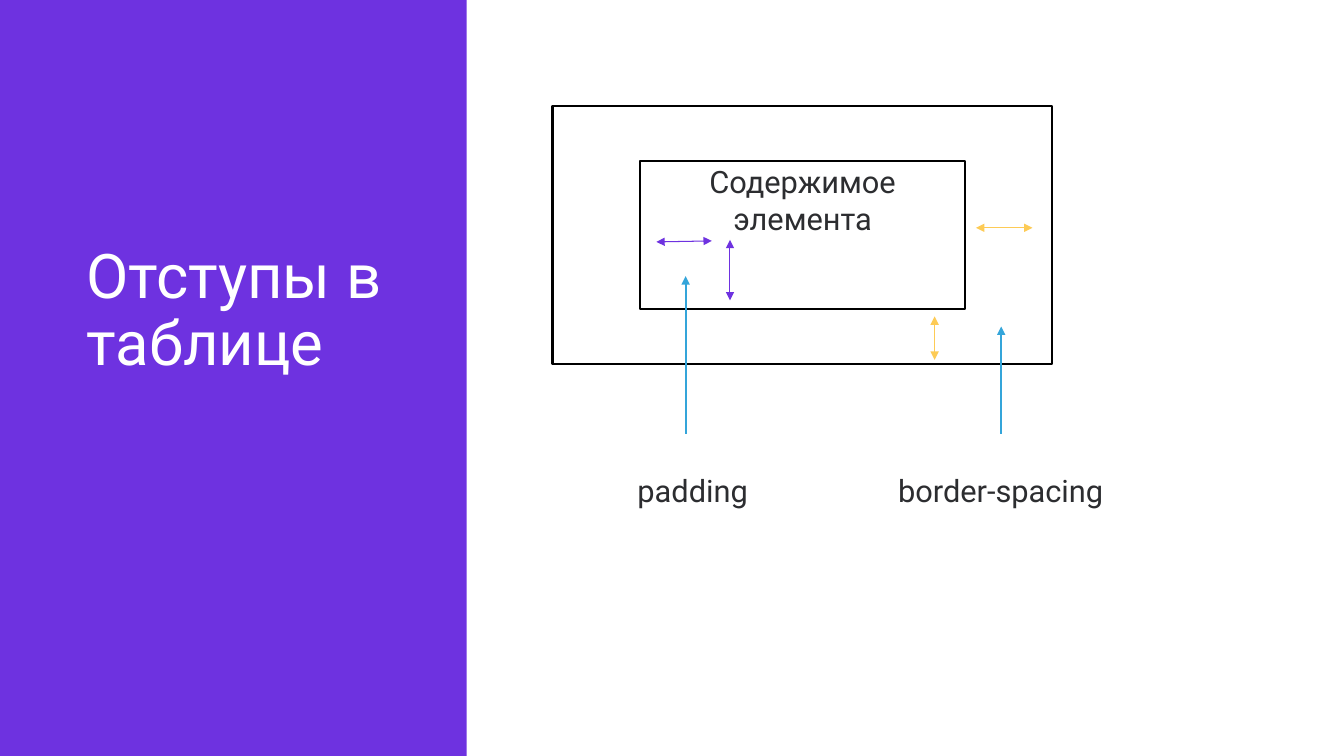
from dataclasses import dataclass

from lxml.etree import SubElement
from pptx import Presentation
from pptx.dml.color import RGBColor as Rgb
from pptx.enum.shapes import MSO_CONNECTOR as Link, MSO_SHAPE as Kind
from pptx.enum.text import MSO_ANCHOR as Anchor, PP_ALIGN as Align
from pptx.oxml.ns import qn
from pptx.util import Inches, Pt


@dataclass(frozen=True)
class Theme:
    font: str = "Roboto"
    violet: str = "6E32E0"
    blue: str = "34A5DA"
    gold: str = "FDCB56"
    black: str = "000000"
    dark: str = "2C2D30"
    white: str = "FFFFFF"
    title: float = 44
    label: float = 22
    thick: float = 1.5
    thin: float = 0.75


class Board:
    def __init__(self, slide, theme):
        self.slide = slide
        self.theme = theme

    def box(self, area, fill=None, line=None):
        shape = self.slide.shapes.add_shape(Kind.RECTANGLE, *map(Inches, area))
        shape.shadow.inherit = False
        if fill:
            shape.fill.solid()
            shape.fill.fore_color.rgb = Rgb.from_string(fill)
        else:
            shape.fill.background()
        if line:
            shape.line.color.rgb = Rgb.from_string(line)
            shape.line.width = Pt(self.theme.thick)
        else:
            shape.line.fill.background()

    def text(self, area, words, size, color, align=Align.CENTER, pad=0.1, lead=None):
        """Add wrapped text, centred upright; pad is the top and bottom inset."""
        frame = self.slide.shapes.add_textbox(*map(Inches, area)).text_frame
        frame.word_wrap = True
        frame.vertical_anchor = Anchor.MIDDLE
        frame.margin_left = frame.margin_right = Inches(0.1)
        frame.margin_top = frame.margin_bottom = Inches(pad)
        para = frame.paragraphs[0]
        para.alignment = align
        if lead:
            para.line_spacing = lead
        run = para.add_run()
        run.text = words
        run.font.name = self.theme.font
        run.font.size = Pt(size)
        run.font.color.rgb = Rgb.from_string(color)

    def arrow(self, start, end, color, width, both=False):
        """Draw a line with a head at its start, or at both ends."""
        line = self.slide.shapes.add_connector(
            Link.STRAIGHT, *map(Inches, (*start, *end)))
        line.line.color.rgb = Rgb.from_string(color)
        line.line.width = Pt(width)
        pen = line.line._get_or_add_ln()
        for tip in ("a:headEnd", "a:tailEnd") if both else ("a:headEnd",):
            SubElement(pen, qn(tip), type="triangle")
        SubElement(line._element.spPr, qn("a:effectLst"))


def main():
    deck = Presentation()
    deck.slide_width, deck.slide_height = Inches(13.33), Inches(7.5)
    look = Theme()
    board = Board(deck.slides.add_slide(deck.slide_layouts[6]), look)

    board.box((0, 0, 4.63, 7.5), fill=look.violet)
    board.text((0.76, 0.21, 3.83, 5.77), "Отступы в таблице", look.title,
               look.white, Align.LEFT, pad=0.05, lead=0.9)

    for area in ((5.48, 1.05, 4.95, 2.56), (6.35, 1.6, 3.22, 1.47)):
        board.box(area, line=look.black)

    for x, top in ((6.8, 2.74), (9.93, 3.24)):
        board.arrow((x, top), (x, 4.31), look.blue, look.thick)

    gaps = (
        ((9.68, 2.26), (10.24, 2.26), look.gold),
        ((6.51, 2.4), (7.06, 2.39), look.violet),
        ((9.27, 3.57), (9.27, 3.14), look.gold),
        ((7.24, 2.98), (7.24, 2.38), look.violet),
    )
    for start, end, color in gaps:
        board.arrow(start, end, color, look.thin, both=True)

    labels = (
        ((6.35, 1.71, 3.22, 0.55), "Содержимое элемента"),
        ((5.92, 4.48, 1.9, 0.76), "padding"),
        ((8.74, 4.48, 2.37, 0.76), "border-spacing"),
    )
    for area, words in labels:
        board.text(area, words, look.label, look.dark)

    deck.save("out.pptx")


if __name__ == "__main__":
    main()
